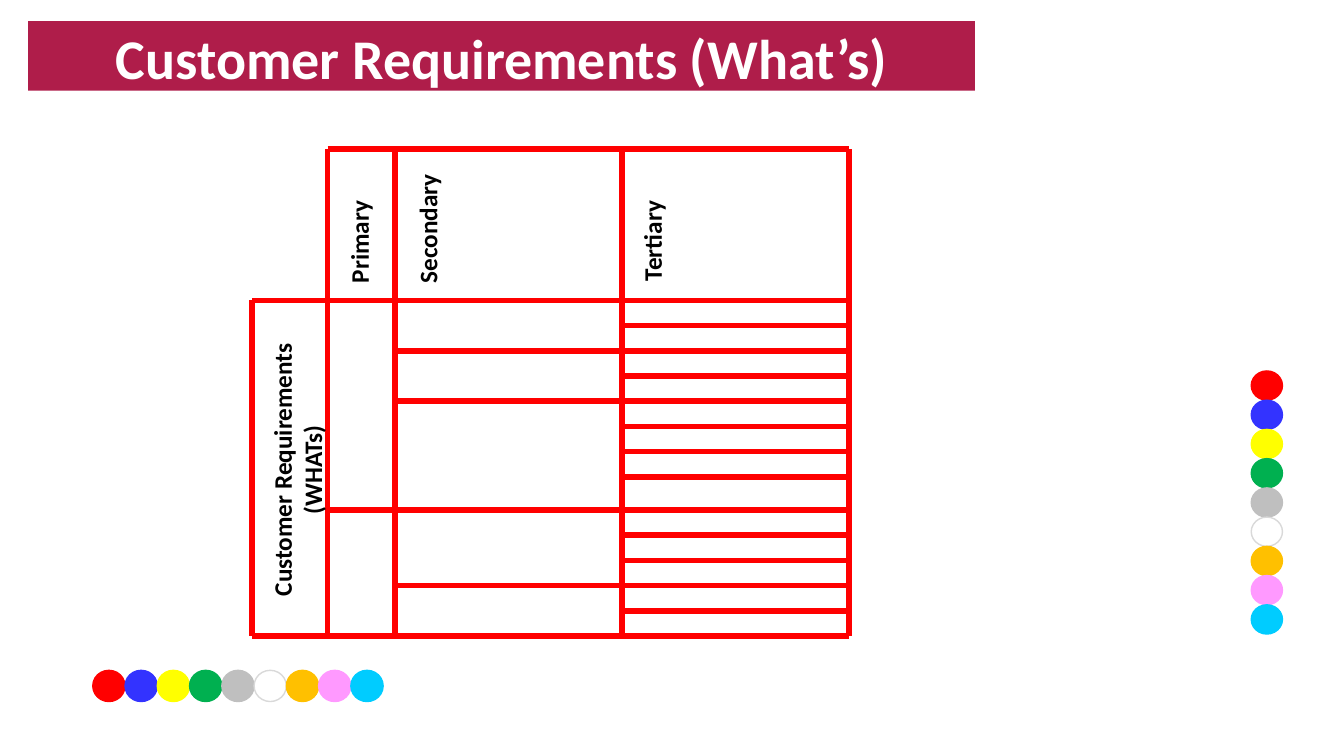
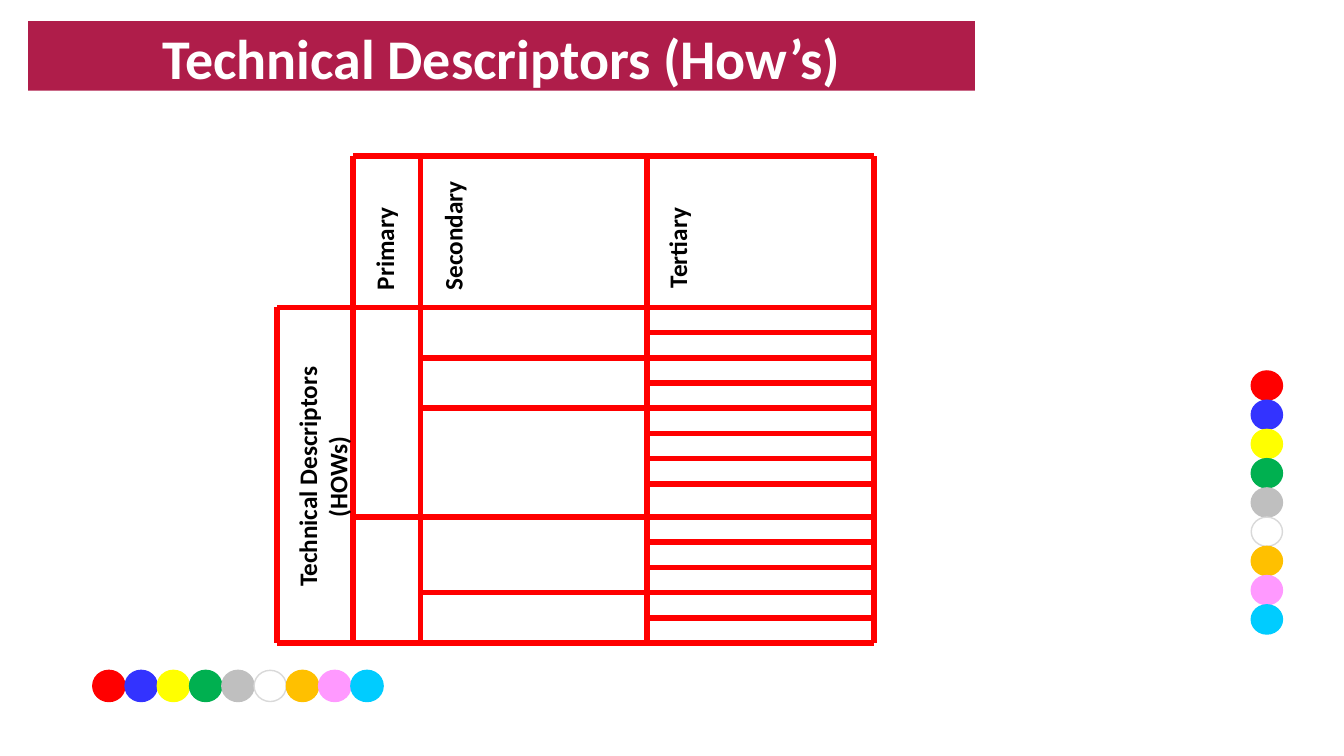
import pptx
import pptx.util
import pptx.dml.color
import pptx.enum.shapes
import pptx.enum.text
import pptx.oxml.ns
from lxml import etree

PX = 9144
FONT = "Calibri"
COLORS = {
    "band": "AF1D4A",
    "title": "FFFFFF",
    "text": "000000",
    "grid": "FF0000",
    "dot_edge": "D9D9D9",
}
DOTS = ["FF0000", "3333FF", "FFFF00", "00B050", "BFBFBF",
        "FFFFFF", "FFC000", "FF99FF", "00CCFF"]

COLUMNS = [0, 75, 142, 367, 592]
HEAD, SPLIT, BOTTOM, ROW = 150, 358, 483, 25
SECONDARY_ROWS = [200, 250, 433]
TERTIARY_ROWS = ([HEAD + ROW * i for i in range(1, 8)]
                 + [SPLIT + ROW * i for i in range(1, 5)])
HEADINGS = [
    ("Primary", 47, 72, 118),
    ("Secondary", 99, 59, 150),
    ("Tertiary", 339, 71, 115),
]
SLIDES = [
    ("Customer Requirements (What’s)", ["Customer Requirements", "(WHATs)"], 250, 148),
    ("Technical Descriptors (How’s)", ["Technical Descriptors", "(HOWs)"], 275, 155),
]


def px(n):
    """Turn pixels into EMU."""
    return pptx.util.Emu(n * PX)


def rgb(value):
    """Turn a hex string into a colour."""
    return pptx.dml.color.RGBColor.from_string(value)


def add_run(p, text, size, color):
    """Add a bold run to a centred paragraph."""
    p.alignment = pptx.enum.text.PP_ALIGN.CENTER
    r = p.add_run()
    r.text = text
    r.font.name = FONT
    r.font.size = pptx.util.Pt(size)
    r.font.bold = True
    r.font.color.rgb = rgb(color)
    return r


def add_dots(slide, x, y, w, h, dx, dy):
    """Add a grouped chain of coloured dots."""
    group = slide.shapes.add_group_shape()
    for i, color in enumerate(DOTS):
        sp = group.shapes.add_shape(
            pptx.enum.shapes.MSO_SHAPE.FLOWCHART_CONNECTOR,
            px(x + i * dx), px(y + i * dy), px(w), px(h))
        sp.shadow.inherit = False
        sp.fill.solid()
        sp.fill.fore_color.rgb = rgb(color)
        edge = COLORS["dot_edge"] if color == "FFFFFF" else color
        sp.line.color.rgb = rgb(edge)
        sp.line.width = pptx.util.Pt(1)
    return group


def decorate_layout(layout, slide):
    """Move both dot chains into the layout that the slides share."""
    for sp in list(layout.placeholders):
        if sp.placeholder_format.idx != 0:
            layout.shapes.element.remove(sp.element)
    chains = [add_dots(slide, 1241, 368, 31, 29, 0, 29),
              add_dots(slide, 92, 665, 32, 31, 32, 0)]
    for group in chains:
        layout.shapes.element.append(group.element)


def set_title(slide, text):
    """Format the title placeholder as a coloured band."""
    sp = slide.shapes.title
    sp.left, sp.top, sp.width, sp.height = px(28), px(21), px(939), px(69)
    sp.fill.solid()
    sp.fill.fore_color.rgb = rgb(COLORS["band"])
    tf = sp.text_frame
    tf.auto_size = pptx.enum.text.MSO_AUTO_SIZE.NONE
    tf.vertical_anchor = pptx.enum.text.MSO_ANCHOR.MIDDLE
    tf.margin_left = tf.margin_right = tf.margin_bottom = 0
    tf.margin_top = px(2)
    add_run(tf.paragraphs[0], text, 40, COLORS["title"])


def add_line(slide, x1, y1, x2, y2):
    """Add one grid line."""
    line = slide.shapes.add_connector(
        pptx.enum.shapes.MSO_CONNECTOR.STRAIGHT, px(x1), px(y1), px(x2), px(y2))
    line.line.color.rgb = rgb(COLORS["grid"])
    line.line.width = pptx.util.Pt(4)
    etree.SubElement(line.element.spPr, pptx.oxml.ns.qn("a:effectLst"))


def add_label(slide, lines, x, y, w, h):
    """Add a text box that reads upwards."""
    sp = slide.shapes.add_textbox(px(x), px(y), px(w), px(h))
    sp.rotation = 270
    tf = sp.text_frame
    tf.word_wrap = True
    for i, text in enumerate(lines):
        p = tf.add_paragraph() if i else tf.paragraphs[0]
        add_run(p, text, 18, COLORS["text"])


def add_matrix(slide, side_lines, left, top):
    """Draw the grid of primary, secondary and tertiary levels."""
    side, primary, secondary, tertiary, right = [left + x for x in COLUMNS]
    rows = [(primary, 0), (side, HEAD), (primary, SPLIT), (side, BOTTOM)]
    rows += [(secondary, y) for y in SECONDARY_ROWS]
    rows += [(tertiary, y) for y in TERTIARY_ROWS if y not in SECONDARY_ROWS]
    for x, y in rows:
        add_line(slide, x, top + y, right, top + y)
    add_line(slide, side, top + HEAD, side, top + BOTTOM)
    for x in (primary, secondary, tertiary, right):
        add_line(slide, x, top, x, top + BOTTOM)
    add_label(slide, side_lines, left - 118, top + 283, 325, 70)
    for text, x, y, w in HEADINGS:
        add_label(slide, [text], left + x, top + y, w, 40)


def main():
    """Build the deck."""
    prs = pptx.Presentation()
    prs.slide_width, prs.slide_height = px(1333), px(750)
    layout = prs.slide_layouts[5]
    slides = [prs.slides.add_slide(layout) for _ in SLIDES]
    decorate_layout(layout, slides[0])
    for s, (title, side_lines, left, top) in zip(slides, SLIDES):
        set_title(s, title)
        add_matrix(s, side_lines, left, top)
    prs.save("out.pptx")


if __name__ == "__main__":
    main()
